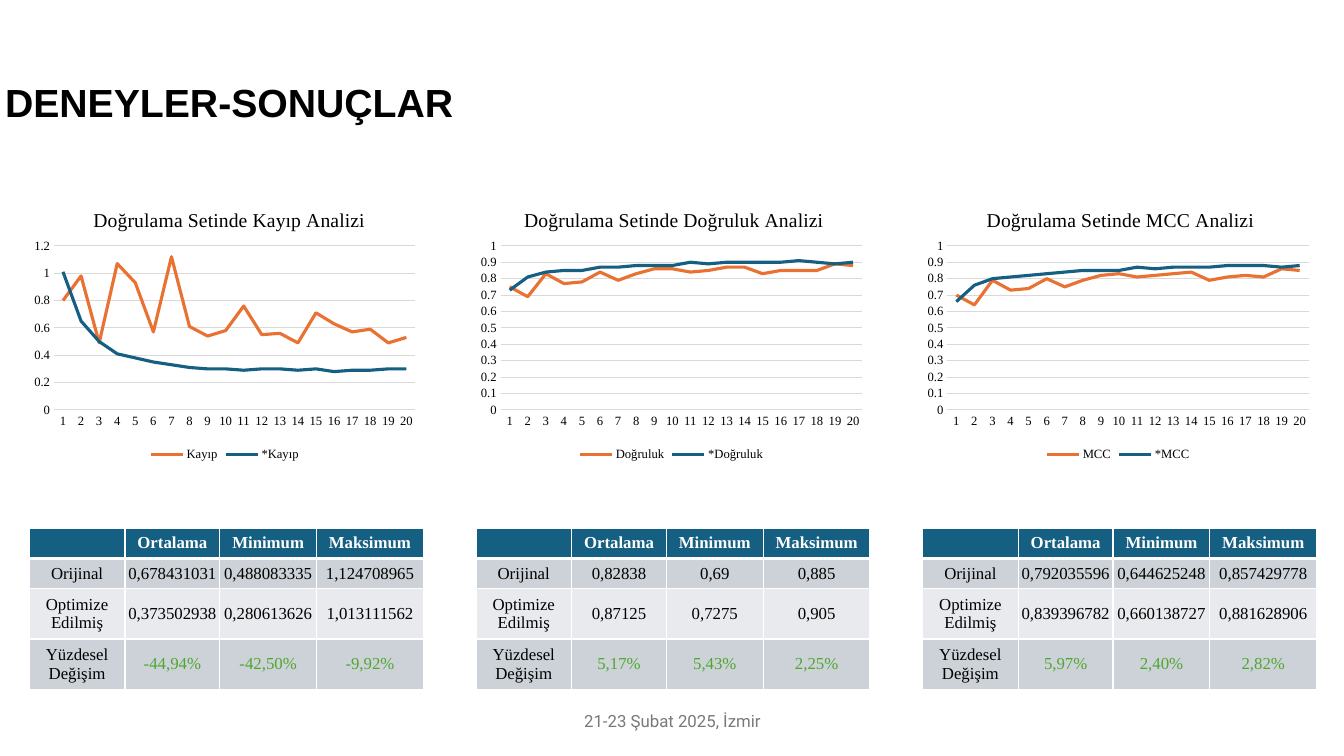
"""Build the results slide: three validation charts above three summary tables."""
from dataclasses import dataclass

from lxml.etree import SubElement
from pptx import Presentation
from pptx.chart.data import CategoryChartData
from pptx.dml.color import RGBColor
from pptx.enum.chart import XL_CHART_TYPE, XL_LEGEND_POSITION, XL_TICK_MARK
from pptx.enum.text import MSO_ANCHOR, MSO_AUTO_SIZE, PP_ALIGN
from pptx.oxml import parse_xml
from pptx.oxml.ns import nsdecls, qn
from pptx.util import Inches, Pt


@dataclass(frozen=True)
class Theme:
    black: RGBColor = RGBColor.from_string("000000")
    white: RGBColor = RGBColor.from_string("FFFFFF")
    blue: RGBColor = RGBColor.from_string("156082")
    orange: RGBColor = RGBColor.from_string("E97132")
    green: RGBColor = RGBColor.from_string("4EA72E")
    grid: RGBColor = RGBColor.from_string("D9D9D9")
    dark_band: RGBColor = RGBColor.from_string("CCD2D8")
    light_band: RGBColor = RGBColor.from_string("E8EAED")
    grey: RGBColor = RGBColor.from_string("797979")
    serif: str = "Times New Roman"
    heading: int = 28
    chart_title: int = 14
    body: int = 12
    chart: int = 10
    axis: int = 9


theme = Theme()


def style(font, name, size, color, bold=False):
    font.name, font.size, font.bold = name, Pt(size), bold
    font.color.rgb = color


def arrange(parent, index, target="", **shares):
    for old in parent.findall(qn("c:layout")):
        parent.remove(old)
    modes = '<c:xMode val="edge"/><c:yMode val="edge"/>'
    values = "".join(f'<c:{key} val="{value}"/>' for key, value in shares.items())
    parent.insert(index, parse_xml(
        f'<c:layout {nsdecls("c")}><c:manualLayout>{target}{modes}{values}'
        "</c:manualLayout></c:layout>"))


metrics = [
    ("Kayıp", 0.16, 1.2, 0.2,
     [0.8, 0.98, 0.49, 1.07, 0.93, 0.57, 1.12, 0.61, 0.54, 0.58,
      0.76, 0.55, 0.56, 0.49, 0.71, 0.63, 0.57, 0.59, 0.49, 0.53],
     [1.01, 0.65, 0.5, 0.41, 0.38, 0.35, 0.33, 0.31, 0.3, 0.3,
      0.29, 0.3, 0.3, 0.29, 0.3, 0.28, 0.29, 0.29, 0.3, 0.3],
     [("0,678431031", "0,488083335", "1,124708965"),
      ("0,373502938", "0,280613626", "1,013111562"),
      ("-44,94%", "-42,50%", "-9,92%")]),
    ("Doğruluk", 0.12, 1, 0.1,
     [0.75, 0.69, 0.83, 0.77, 0.78, 0.84, 0.79, 0.83, 0.86, 0.86,
      0.84, 0.85, 0.87, 0.87, 0.83, 0.85, 0.85, 0.85, 0.89, 0.88],
     [0.73, 0.81, 0.84, 0.85, 0.85, 0.87, 0.87, 0.88, 0.88, 0.88,
      0.9, 0.89, 0.9, 0.9, 0.9, 0.9, 0.91, 0.9, 0.89, 0.9],
     [("0,82838", "0,69", "0,885"),
      ("0,87125", "0,7275", "0,905"),
      ("5,17%", "5,43%", "2,25%")]),
    ("MCC", 0.16, 1, 0.1,
     [0.7, 0.64, 0.79, 0.73, 0.74, 0.8, 0.75, 0.79, 0.82, 0.83,
      0.81, 0.82, 0.83, 0.84, 0.79, 0.81, 0.82, 0.81, 0.86, 0.85],
     [0.66, 0.76, 0.8, 0.81, 0.82, 0.83, 0.84, 0.85, 0.85, 0.85,
      0.87, 0.86, 0.87, 0.87, 0.87, 0.88, 0.88, 0.88, 0.87, 0.88],
     [("0,792035596", "0,644625248", "0,857429778"),
      ("0,839396782", "0,660138727", "0,881628906"),
      ("5,97%", "2,40%", "2,82%")]),
]
headers = ("", "Ortalama", "Minimum", "Maksimum")
row_labels = ("Orijinal", "Optimize Edilmiş", "Yüzdesel Değişim")
column_widths = (0.95, 0.94, 0.96, 1.06)
row_heights = (0.3, 0.3, 0.5, 0.5)
row_fills = (theme.blue, theme.dark_band, theme.light_band, theme.dark_band)
row_colors = (theme.white, theme.black, theme.black, theme.green)
chart_left, table_left, pitch = 0.26, 0.29, 4.43
chart_top, table_top = 1.86, 5.24

deck = Presentation()
deck.slide_width, deck.slide_height = Inches(13.33), Inches(7.5)
slide = deck.slides.add_slide(deck.slide_layouts[5])

heading = slide.shapes.title
heading.left, heading.top = Inches(-0.05), Inches(0.73)
heading.width, heading.height = Inches(12.43), Inches(0.57)
heading.text_frame.text = "DENEYLER-SONUÇLAR"
heading.text_frame.vertical_anchor = MSO_ANCHOR.TOP
heading.text_frame.auto_size = MSO_AUTO_SIZE.SHAPE_TO_FIT_TEXT
heading_line = heading.text_frame.paragraphs[0]
heading_line.alignment = PP_ALIGN.LEFT
style(heading_line.font, "Arial", theme.heading, theme.black, True)

event = slide.shapes.add_textbox(Inches(4.42), Inches(6.95), Inches(4.5), Inches(0.4))
event.text_frame.word_wrap = True
event.text_frame.vertical_anchor = MSO_ANCHOR.MIDDLE
event_line = event.text_frame.paragraphs[0]
event_line.text = "21-23 Şubat 2025, İzmir"
event_line.alignment = PP_ALIGN.CENTER
style(event_line.font, "Roboto", theme.body, theme.grey)

for position, (metric, title_x, top_value, step, base, optimized, summary) in enumerate(metrics):
    epochs = CategoryChartData()
    epochs.categories = [str(epoch) for epoch in range(1, 21)]
    epochs.add_series(metric, base)
    epochs.add_series(f"*{metric}", optimized)
    analysis = slide.shapes.add_chart(
        XL_CHART_TYPE.LINE, Inches(chart_left + position * pitch), Inches(chart_top),
        Inches(3.94), Inches(2.76), epochs).chart
    style(analysis.font, theme.serif, theme.chart, theme.black)
    analysis.has_title = True
    caption = analysis.chart_title.text_frame.paragraphs[0]
    caption.text = f"Doğrulama Setinde {metric} Analizi"
    style(caption.font, theme.serif, theme.chart_title, theme.black)
    arrange(analysis.chart_title.element, 1, x=title_x, y=0.06)
    arrange(analysis.element.find(".//" + qn("c:plotArea")), 0,
            '<c:layoutTarget val="inner"/>', x=0.07, y=0.21, w=0.91, h=0.59)

    analysis.has_legend = True
    analysis.legend.position = XL_LEGEND_POSITION.BOTTOM
    analysis.legend.include_in_layout = False
    style(analysis.legend.font, theme.serif, theme.axis, theme.black)
    for axis in (analysis.category_axis, analysis.value_axis):
        axis.major_tick_mark = axis.minor_tick_mark = XL_TICK_MARK.NONE
        style(axis.tick_labels.font, theme.serif, theme.axis, theme.black)
    scale = analysis.value_axis
    scale.minimum_scale, scale.maximum_scale, scale.major_unit = 0, top_value, step
    scale.format.line.fill.background()
    for rule in (analysis.category_axis.format.line, scale.major_gridlines.format.line):
        rule.color.rgb, rule.width = theme.grid, Pt(0.75)
    analysis.plots[0].vary_by_categories = False
    for run, color in zip(analysis.plots[0].series, (theme.orange, theme.blue)):
        run.smooth = False
        run.format.line.color.rgb, run.format.line.width = color, Pt(2.25)

    results = slide.shapes.add_table(
        4, 4, Inches(table_left + position * pitch), Inches(table_top),
        Inches(sum(column_widths)), Inches(sum(row_heights))).table
    for column, width in zip(results.columns, column_widths):
        column.width = Inches(width)
    contents = [headers] + [(label, *values) for label, values in zip(row_labels, summary)]
    for r, words in enumerate(contents):
        results.rows[r].height = Inches(row_heights[r])
        for c, word in enumerate(words):
            cell = results.cell(r, c)
            cell.vertical_anchor = MSO_ANCHOR.MIDDLE
            cell.margin_top = cell.margin_bottom = Inches(0.01)
            if r and c:
                cell.margin_left = cell.margin_right = Inches(0.01)
            for side in "LRTB":
                thick = (r, side) in ((0, "B"), (1, "T"))
                edge = SubElement(cell._tc.get_or_add_tcPr(), qn(f"a:ln{side}"),
                                  w=str(Pt(3 if thick else 1)))
                paint = SubElement(edge, qn("a:solidFill"))
                SubElement(paint, qn("a:srgbClr"), val=str(theme.white))
            cell.fill.solid()
            cell.fill.fore_color.rgb = row_fills[r]
            entry = cell.text_frame.paragraphs[0]
            entry.text = word
            entry.alignment = PP_ALIGN.CENTER
            style(entry.font, theme.serif, theme.body,
                  row_colors[r] if c else theme.black, r == 0)

deck.save("out.pptx")
